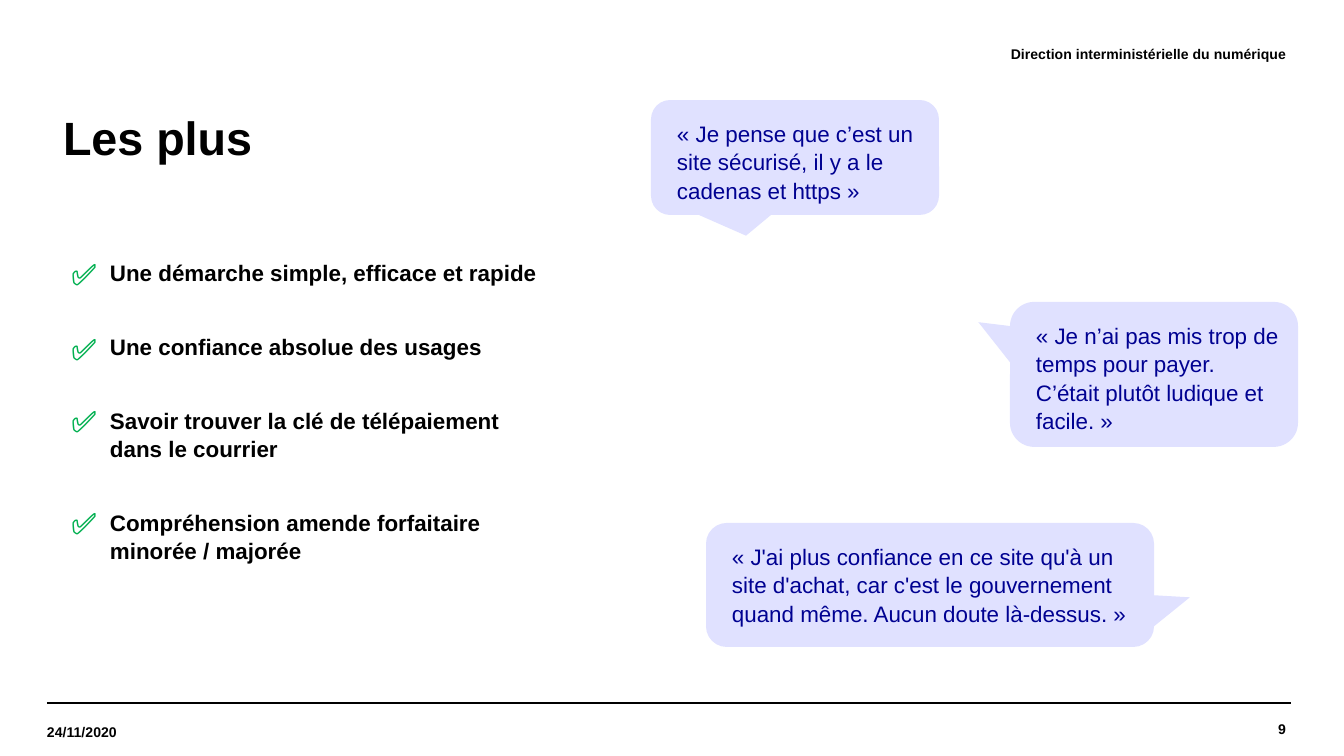
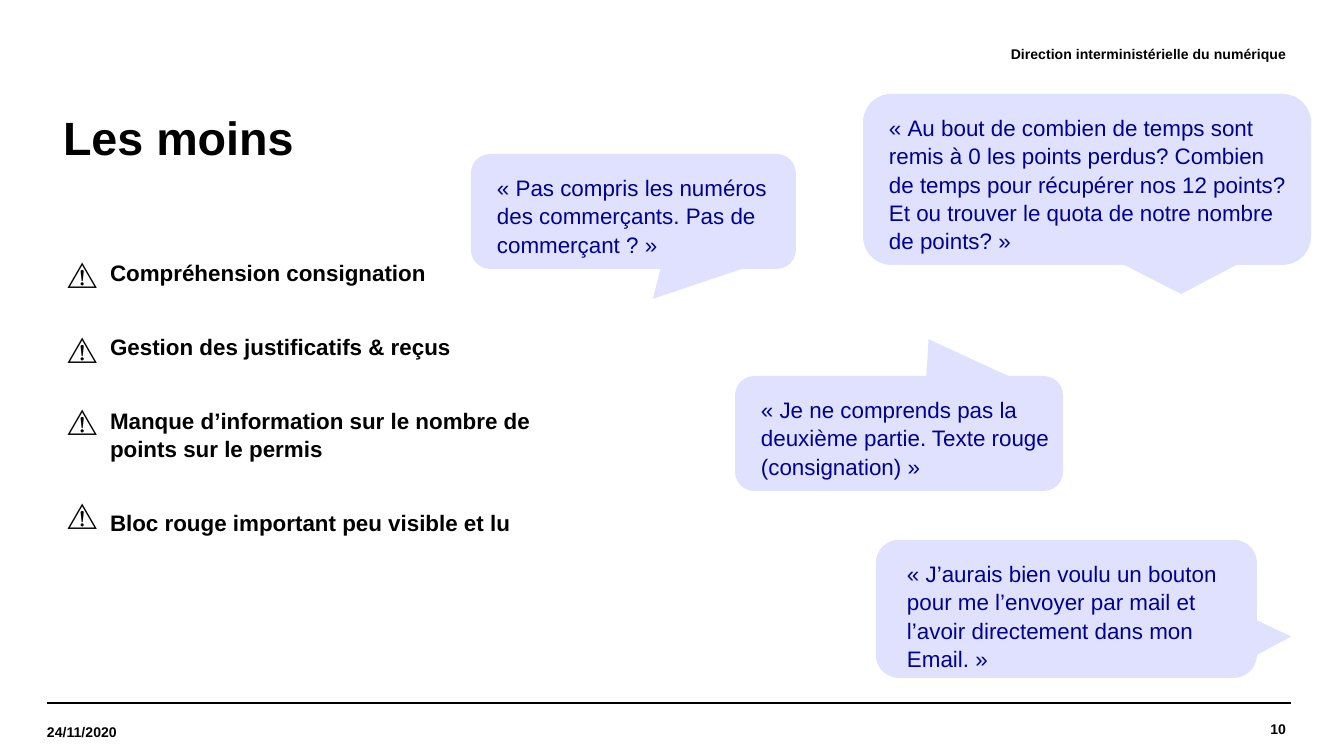
from dataclasses import dataclass

from lxml import etree
from pptx import Presentation
from pptx.dml.color import RGBColor
from pptx.enum.shapes import MSO_CONNECTOR, MSO_SHAPE
from pptx.enum.text import MSO_ANCHOR, PP_ALIGN
from pptx.oxml.ns import qn
from pptx.util import Pt

CALLOUT = MSO_SHAPE.ROUNDED_RECTANGULAR_CALLOUT
STRAIGHT = MSO_CONNECTOR.STRAIGHT
TOP, MIDDLE = MSO_ANCHOR.TOP, MSO_ANCHOR.MIDDLE
LEFT, RIGHT = PP_ALIGN.LEFT, PP_ALIGN.RIGHT
SCALE = 914400 / 134.4
PAGE_WIDTH, PAGE_HEIGHT = 1344, 756


@dataclass(frozen=True)
class Theme:
    """Colours, font, sizes and spacing shared by the deck."""

    font: str = "Arial"
    black: str = "000000"
    green: str = "00B050"
    quote: str = "000191"
    bubble: str = "E0E1FF"
    small: float = 7.5
    body: float = 12
    icon: float = 16
    title: float = 25
    rule: float = 0.8
    body_spacing: float = 1.05
    title_spacing: float = 0.9
    item_gap: float = 24.5
    indent: int = 13


THEME = Theme()


def emu(pixels):
    """Turn pixels into EMU."""
    return round(pixels * SCALE)


def add_text(page, box, paragraphs, *, size=THEME.body, color=THEME.black, bold=False,
             align=LEFT, anchor=TOP, spacing=None, gap=0, inset=0, indent=0):
    """Write paragraphs in one format inside a box."""
    frame = page.shapes.add_textbox(*map(emu, box)).text_frame
    frame.word_wrap = True
    frame.vertical_anchor = anchor
    frame.margin_left = frame.margin_right = emu(inset)
    frame.margin_top = frame.margin_bottom = 0
    for index, text in enumerate(paragraphs):
        para = frame.add_paragraph() if index else frame.paragraphs[0]
        para.alignment = align
        para.space_after = Pt(gap)
        if spacing:
            para.line_spacing = spacing
        para._p.get_or_add_pPr().set("marL", str(emu(indent)))
        span = para.add_run()
        span.text = text
        span.font.name = THEME.font
        span.font.size = Pt(size)
        span.font.bold = bold
        span.font.color.rgb = RGBColor.from_string(color)


def add_frame(page, number):
    """Place the header, the footer rule, the date and the page number."""
    line = page.shapes.add_connector(STRAIGHT, emu(47), emu(703), emu(1291), emu(703))
    line.line.color.rgb = RGBColor.from_string(THEME.black)
    line.line.width = Pt(THEME.rule)
    etree.SubElement(line._element.spPr, qn("a:effectLst"))
    small = {"size": THEME.small, "bold": True, "anchor": MIDDLE}
    add_text(page, (422, 28, 864, 52), ["Direction interministérielle du numérique"],
             align=RIGHT, **small)
    add_text(page, (47, 706, 172, 51), ["24/11/2020"], **small)
    add_text(page, (1087, 703, 199, 52), [str(number)], align=RIGHT, **small)


def add_title(page, box, text):
    """Write the page title."""
    add_text(page, box, [text], size=THEME.title, bold=True, anchor=MIDDLE,
             spacing=THEME.title_spacing, inset=13, indent=3)


def add_findings(page, box, items, icon, color, icon_tops):
    """List the findings with an icon to the left of each."""
    left, top, width, height = box
    add_text(page, box, items, bold=True, spacing=THEME.body_spacing,
             gap=THEME.item_gap, indent=THEME.indent)
    for icon_top in icon_tops:
        add_text(page, (left - 74, top + icon_top, 74, 50), [icon], size=THEME.icon,
                 color=color, align=RIGHT, spacing=THEME.body_spacing,
                 indent=THEME.indent)


def add_quote(page, box, tip, text_width, text, text_left=13):
    """Draw a speech bubble and write the quote in it."""
    left, top, width, height = box
    bubble = page.shapes.add_shape(CALLOUT, *map(emu, box))
    bubble.shadow.inherit = False
    bubble.fill.solid()
    bubble.fill.fore_color.rgb = RGBColor.from_string(THEME.bubble)
    bubble.line.fill.background()
    bubble.adjustments[0], bubble.adjustments[1] = tip
    add_text(page, (left + text_left, top + 19, text_width, height - 29),
             [f"«\u00a0{text}\u00a0»"], color=THEME.quote,
             spacing=THEME.body_spacing, indent=THEME.indent)


def add_page(deck, number, title, title_width, findings, quotes):
    """Build one page of findings and quotes."""
    page = deck.slides.add_slide(deck.slide_layouts[6])
    add_frame(page, number)
    add_title(page, (47, 101, title_width, 79), title)
    add_findings(page, **findings)
    for quote in quotes:
        add_quote(page, *quote)


PLUS_FINDINGS = {
    "box": (97, 258, 458, 297),
    "items": [
        "Une démarche simple, efficace et rapide",
        "Une confiance absolue des usages",
        "Savoir trouver la clé de télépaiement dans le courrier",
        "Compréhension amende forfaitaire minorée / majorée",
    ],
    "icon": "\u2705",
    "color": THEME.green,
    "icon_tops": (-4, 71, 143, 245),
}
PLUS_QUOTES = [
    ((1010, 302, 288, 145), (-0.61, -0.36), 258,
     "Je n’ai pas mis trop de temps pour payer. C’était plutôt ludique et facile."),
    ((706, 523, 448, 124), (0.58, 0.1), 414,
     "J'ai plus confiance en ce site qu'à un site d'achat, car c'est le "
     "gouvernement quand même. Aucun doute là-dessus."),
    ((651, 100, 288, 115), (-0.17, 0.68), 258,
     "Je pense que c’est un site sécurisé, il y a le cadenas et https"),
]
MINUS_FINDINGS = {
    "box": (97, 258, 437, 297),
    "items": [
        "Compréhension consignation",
        "Gestion des justificatifs & reçus",
        "Manque d’information sur le nombre de points sur le permis",
        "Bloc rouge\u00a0important peu visible et lu",
    ],
    "icon": "\u26a0\ufe0f",
    "color": THEME.black,
    "icon_tops": (-4, 71, 143, 237),
}
MINUS_QUOTES = [
    ((735, 376, 328, 115), (0.09, -0.82), 316,
     "Je ne comprends pas la deuxième partie. Texte rouge (consignation)"),
    ((471, 154, 325, 115), (0.06, 0.76), 298,
     "Pas compris les numéros des commerçants. Pas de commerçant ?"),
    ((876, 540, 381, 138), (0.59, 0.2), 341,
     "J’aurais bien voulu un bouton pour me l’envoyer par mail et l’avoir "
     "directement dans mon Email.", 18),
    ((863, 94, 448, 171), (0.21, 0.67), 414,
     "Au bout de combien de temps sont remis à 0 les points perdus? Combien de "
     "temps pour récupérer nos 12 points? Et ou trouver le quota de notre nombre "
     "de points?"),
]


def main():
    """Build and save the deck."""
    deck = Presentation()
    deck.slide_width, deck.slide_height = emu(PAGE_WIDTH), emu(PAGE_HEIGHT)
    add_page(deck, 9, "Les plus", 1238, PLUS_FINDINGS, PLUS_QUOTES)
    add_page(deck, 10, "Les moins", 286, MINUS_FINDINGS, MINUS_QUOTES)
    deck.save("out.pptx")


main()
